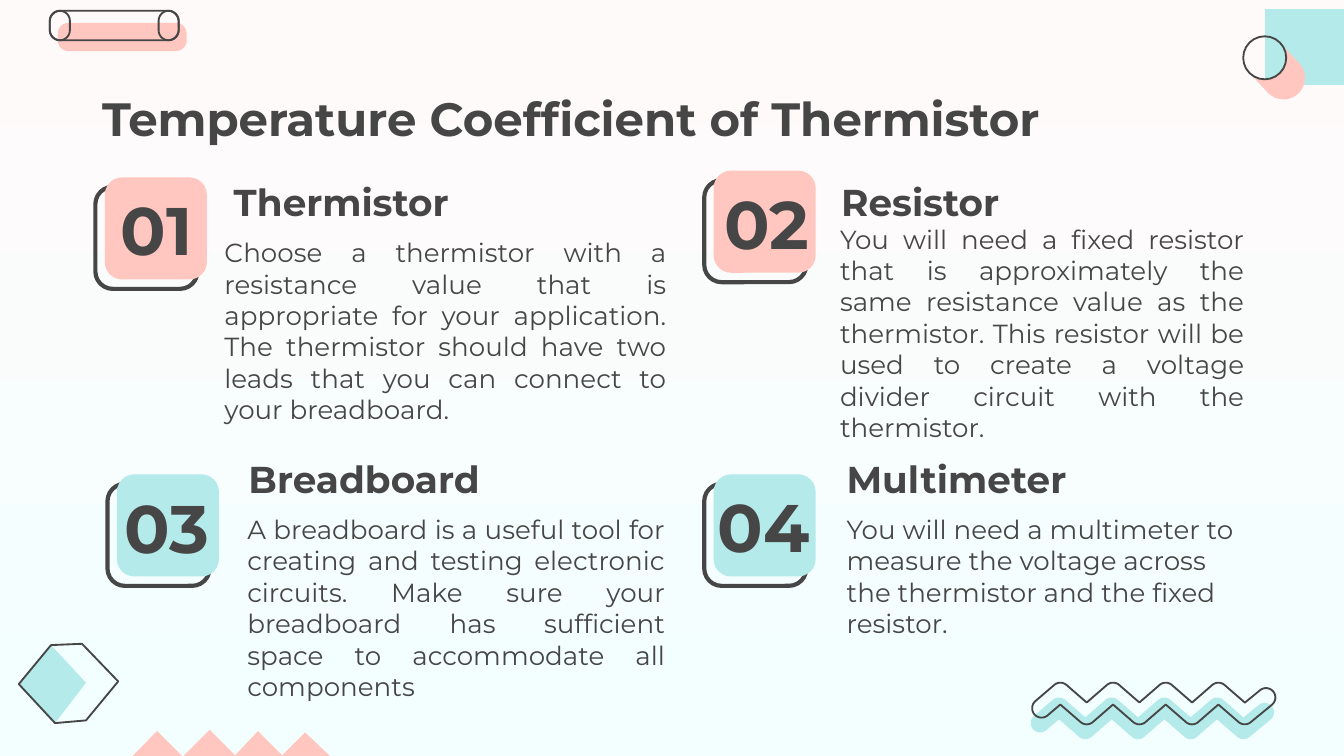
import collections
import math

import pptx
import pptx.dml.color
import pptx.enum.shapes
import pptx.enum.text
import pptx.util

PX = 9144
INK, PINK, TEAL = "464646", "FFC7C0", "B4EAEA"
SHAPE = pptx.enum.shapes.MSO_SHAPE
ALIGN = pptx.enum.text.PP_ALIGN
ANCHOR = pptx.enum.text.MSO_ANCHOR

Card = collections.namedtuple(
    "Card", "box number_at heading_at text_box color number heading text align")

CARDS = [
    Card((71, 132), (9, 32), (93, -1), (86, 34, 349, 171), PINK, "01", "Thermistor",
         "Choose a thermistor with a resistance value that is appropriate for your "
         "application. The thermistor should have two leads that you can connect to "
         "your breadboard.", ALIGN.JUSTIFY),
    Card((524, 127), (5, 33), (92, 4), (91, 29, 321, 117), PINK, "02", "Resistor",
         "You will need a fixed resistor that is approximately the same resistance "
         "value as the thermistor. This resistor will be used to create a voltage "
         "divider circuit with the thermistor.", ALIGN.JUSTIFY),
    Card((80, 353), (3, 33), (95, -16), (94, 19, 331, 157), TEAL, "03", "Breadboard",
         "A breadboard is a useful tool for creating and testing electronic circuits. "
         "Make sure your breadboard has sufficient space to accommodate all components",
         ALIGN.JUSTIFY),
    Card((524, 353), (0, 32), (96, -16), (96, 19, 321, 110), TEAL, "04", "Multimeter",
         "You will need a multimeter to measure the voltage across the thermistor and "
         "the fixed resistor.", ALIGN.LEFT),
]


def rgb(value):
    """Return the colour for a hex string."""
    return pptx.dml.color.RGBColor.from_string(value)


def emu(*lengths):
    """Turn px lengths into EMU."""
    return [round(length * PX) for length in lengths]


def paint(shape, fill=None, line=None, weight=1):
    """Set fill and line of a shape and drop its shadow."""
    shape.shadow.inherit = False
    if fill:
        shape.fill.solid()
        shape.fill.fore_color.rgb = rgb(fill)
    else:
        shape.fill.background()
    if line:
        shape.line.color.rgb = rgb(line)
        shape.line.width = pptx.util.Pt(weight)
    else:
        shape.line.fill.background()


def add_rounded(page, box, radius, **look):
    """Add a rounded rectangle with its corner radius in px."""
    shape = page.shapes.add_shape(SHAPE.ROUNDED_RECTANGLE, *emu(*box))
    shape.adjustments[0] = radius / min(box[2:])
    paint(shape, **look)


def add_polygon(page, left, top, points, **look):
    """Add a closed outline whose points are relative to left and top."""
    corners = [emu(left + x, top + y) for x, y in points]
    builder = page.shapes.build_freeform(*corners[0])
    builder.add_line_segments(corners[1:], close=True)
    paint(builder.convert_to_shape(), **look)


def arc(x, y, radius, start, sweep, steps=16):
    """Return points along a circular arc, angles in radians."""
    angles = [start + sweep * step / steps for step in range(steps + 1)]
    return [(x + radius * math.cos(a), y + radius * math.sin(a)) for a in angles]


def ribbon(points, radius):
    """Return the outline of a round-ended band around a polyline."""
    loop = points + points[-2:0:-1]
    outline = []
    for index, (x, y) in enumerate(loop):
        before, after = loop[index - 1], loop[(index + 1) % len(loop)]
        start = math.atan2(y - before[1], x - before[0])
        end = math.atan2(after[1] - y, after[0] - x)
        limit = math.pi + 0.01
        turn = limit - (limit - (end - start)) % math.tau
        normal = start - math.pi / 2
        if turn > 0:
            outline += arc(x, y, radius, normal, turn)
        else:
            reach = radius / math.cos(turn / 2)
            outline += arc(x, y, reach, normal + turn / 2, 0, 1)[:1]
    return outline


def write(shape, text, box, size, bold=False, align=ALIGN.LEFT, anchor=ANCHOR.TOP):
    """Place a text shape and fill it with one formatted paragraph."""
    shape.left, shape.top, shape.width, shape.height = emu(*box)
    frame = shape.text_frame
    frame.word_wrap = True
    frame.auto_size = pptx.enum.text.MSO_AUTO_SIZE.NONE
    frame.vertical_anchor = anchor
    frame.margin_left = frame.margin_right = frame.margin_top = frame.margin_bottom = 10 * PX
    para = frame.paragraphs[0]
    para.alignment = align
    para.space_before = pptx.util.Pt(0)
    span = para.add_run()
    span.text = text
    span.font.name = "Montserrat"
    span.font.size = pptx.util.Pt(size)
    span.font.bold = bold
    span.font.color.rgb = rgb(INK)
    return para


def add_background(page):
    """Fill the page with a vertical gradient."""
    fill = page.background.fill
    fill.gradient()
    fill.gradient_angle = 270
    for stop, position, color in zip(fill.gradient_stops, (0, 1), ("FFFAFA", "F3FFFF")):
        stop.position = position
        stop.color.rgb = rgb(color)


def add_tube(page, left, top):
    """Draw the outlined tube over its pink bar."""
    add_rounded(page, (left + 6, top + 9, 96, 21), 8, fill=PINK)
    for offset, width in ((0, 96), (0, 15), (81, 15)):
        add_rounded(page, (left + offset, top, width, 22), 8, line=INK)


def add_corner(page, left, top):
    """Draw the teal block, the pink crescent and the ring."""
    add_polygon(page, left, top, [(0, 0), (86, 0), (86, 56), (0, 56)], fill=TEAL)
    start = -math.pi / 4
    crescent = arc(0, 36, 16, start, math.pi) + arc(14, 51, 16, start + math.pi, -math.pi)
    add_polygon(page, left, top, crescent, fill=PINK)
    ring = page.shapes.add_shape(SHAPE.OVAL, *emu(left - 16, top + 20, 32, 32))
    paint(ring, line=INK)


def add_hexagon(page, left, top):
    """Draw the half-filled hexagon."""
    west = [(24, 1), (0, 30), (27, 59)]
    add_polygon(page, left, top, west + [(50, 29)], fill=TEAL)
    add_polygon(page, left, top, west + [(50, 57), (74, 28), (47, 0)], line=INK)


def add_wave(page, left, top):
    """Draw the zigzag band and its shifted outline."""
    bends = [(21 + 19.6 * step, 18 + 17 * (step % 2)) for step in range(8)]
    band = ribbon([(7, 30)] + bends + [(174, 22)], 7)
    add_polygon(page, left, top, band, fill=TEAL)
    add_polygon(page, left + 1, top - 11, band, line=INK)


def add_peaks(page, left, top):
    """Draw the pink row of peaks at the lower edge."""
    points = [(0, 20), (19, 1), (38, 20), (58, 0), (77, 19), (94, 1),
              (112, 19), (129, 2), (148, 20)]
    add_polygon(page, left, top, points, fill=PINK)


def add_card(page, body, card):
    """Draw one numbered card relative to its corner."""
    left, top = card.box
    add_rounded(page, (left, top + 7, 76, 76), 13, line=INK, weight=2.25)
    add_rounded(page, (left + 7, top, 76, 76), 13, fill=card.color)
    labels = ((card.number, card.number_at, 103, 36), (card.heading, card.heading_at, 329, 20))
    for text, (x, y), width, size in labels:
        label = page.shapes.add_textbox(0, 0, 0, 0)
        write(label, text, (left + x, top + y, width, 46), size, bold=True,
              anchor=ANCHOR.BOTTOM)
    x, y, width, height = card.text_box
    para = write(body, card.text, (left + x, top + y, width, height), 14, align=card.align)
    properties = para._p.get_or_add_pPr()
    properties.set("marL", "0")
    properties.set("indent", "0")
    bullet = "{http://schemas.openxmlformats.org/drawingml/2006/main}buNone"
    properties.append(properties.makeelement(bullet, {}))


def main():
    """Build the deck and save it."""
    deck = pptx.Presentation()
    deck.slide_width = pptx.util.Inches(10)
    deck.slide_height = pptx.util.Inches(10 * 9 / 16)
    page = deck.slides.add_slide(deck.slide_layouts.get_by_name("Comparison"))
    title, *bodies = page.placeholders
    add_background(page)
    add_corner(page, 941, 7)
    add_wave(page, 767, 508)
    add_hexagon(page, 14, 479)
    add_tube(page, 37, 8)
    add_peaks(page, 98, 543)
    for body, card in zip(bodies, CARDS):
        add_card(page, body, card)
    write(title, "Temperature Coefficient of Thermistor", (66, 57, 761, 61), 25, bold=True)
    deck.save("out.pptx")


if __name__ == "__main__":
    main()
